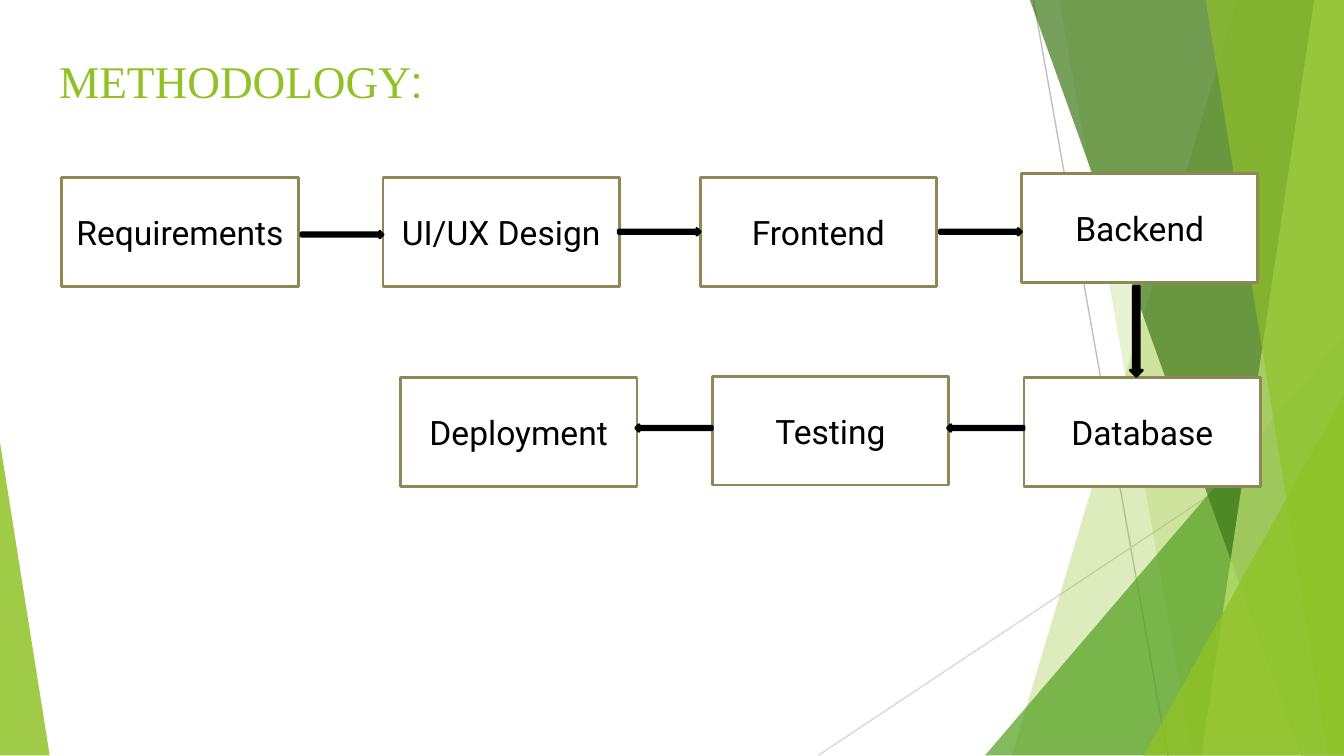
from lxml.etree import SubElement
from pptx import Presentation
from pptx.dml.color import RGBColor
from pptx.enum.shapes import MSO_CONNECTOR, MSO_SHAPE
from pptx.enum.text import MSO_ANCHOR, MSO_AUTO_SIZE, PP_ALIGN
from pptx.oxml.ns import qn
from pptx.util import Emu, Pt

PX = 9144  # 100 px to the inch


def px(*lengths):
    return [Emu(length * PX) for length in lengths]


def paint(shape, fill, opacity=100, line=None):
    shape.shadow.inherit = False
    shape.fill.solid()
    shape.fill.fore_color.rgb = RGBColor.from_string(fill)
    if opacity < 100:
        color = shape.fill._xPr.find(qn("a:solidFill"))[0]
        SubElement(color, qn("a:alpha"), val=str(opacity * 1000))
    if line:
        shape.line.color.rgb = RGBColor.from_string(line)
        shape.line.width = Pt(1.5)
    else:
        shape.line.fill.background()


prs = Presentation()
prs.slide_width, prs.slide_height = Emu(1000 * PX), Emu(5143500)
slide = prs.slides.add_slide(prs.slide_layouts[5])
shapes = slide.shapes

# Thin background lines
for ends, color in [((769, 0, 869, 563), "BFBFBF"), ((1000, 302, 609, 562), "D9D9D9")]:
    ray = shapes.add_connector(MSO_CONNECTOR.STRAIGHT, *px(*ends))
    ray.line.color.rgb = RGBColor.from_string(color)
    ray.line.width = Pt(0.75)
    SubElement(ray._element.spPr, qn("a:effectLst"))

# Green facets: bands as (top x, bottom x), running to the right edge;
# triangles as (left, top, width, height, apex)
facets = [
    ((921, 753), "90C226", 30),
    ((788, 887), "90C226", 20),
    ((733, 250, 267, 312, 1), "54A021", 72),
    ((766, 968), "3F7819", 70),
    ((978, 894), "C0E474", 70),
    ((897, 988), "90C226", 65),
    ((851, 294, 149, 268, 1), "90C226", 80),
    ((0, 329, 37, 233, 0), "90C226", 85),
]
for outline, color, opacity in facets:
    if len(outline) == 2:
        top_x, bottom_x = outline
        band = shapes.build_freeform(top_x, -1, scale=PX)
        band.add_line_segments([(1000, -1), (1000, 562), (bottom_x, 562)])
        facet = band.convert_to_shape()
    else:
        *box, apex = outline
        facet = shapes.add_shape(MSO_SHAPE.ISOSCELES_TRIANGLE, *px(*box))
        facet.adjustments[0] = apex
    paint(facet, color, opacity)

# Title
title = shapes.title
title.left, title.top, title.width, title.height = px(34, 28, 932, 63)
frame = title.text_frame
frame.auto_size = MSO_AUTO_SIZE.NONE
frame.vertical_anchor = MSO_ANCHOR.MIDDLE
frame.margin_left = frame.margin_right = frame.margin_top = frame.margin_bottom = Emu(10 * PX)
heading = frame.paragraphs[0]
heading.alignment = PP_ALIGN.LEFT
heading.font.size = Pt(24.3)
heading.font.color.rgb = RGBColor.from_string("90C226")
for text, font in [("METHODOLOGY", "Times New Roman"), (":", "Roboto")]:
    run = heading.add_run()
    run.text = text
    run.font.name = font

# Process steps
steps = [
    ("Requirements", 46, 132),
    ("UI/UX Design", 285, 132),
    ("Frontend", 521, 132),
    ("Backend", 760, 129),
    ("Database", 762, 281),
    ("Testing", 530, 280),
    ("Deployment", 298, 281),
]
for name, left, top in steps:
    step = shapes.add_shape(MSO_SHAPE.RECTANGLE, *px(left, top, 176, 81))
    paint(step, "FFFFFF", line="918655")
    step.text_frame.word_wrap = False
    step.text_frame.vertical_anchor = MSO_ANCHOR.MIDDLE
    label = step.text_frame.paragraphs[0]
    label.text = name
    label.alignment = PP_ALIGN.CENTER
    label.font.name = "Roboto"
    label.font.size = Pt(18)
    label.font.color.rgb = RGBColor.from_string("000000")

# Block arrows between the steps
arrows = [
    (MSO_SHAPE.RIGHT_ARROW, 224, 172, 61, 5),
    (MSO_SHAPE.RIGHT_ARROW, 460, 170, 61, 5),
    (MSO_SHAPE.RIGHT_ARROW, 699, 170, 61, 5),
    (MSO_SHAPE.DOWN_ARROW, 841, 213, 9, 67),
    (MSO_SHAPE.LEFT_ARROW, 705, 316, 57, 5),
    (MSO_SHAPE.LEFT_ARROW, 473, 316, 57, 5),
]
for direction, *box in arrows:
    paint(shapes.add_shape(direction, *px(*box)), "000000", line="000000")

prs.save("out.pptx")
